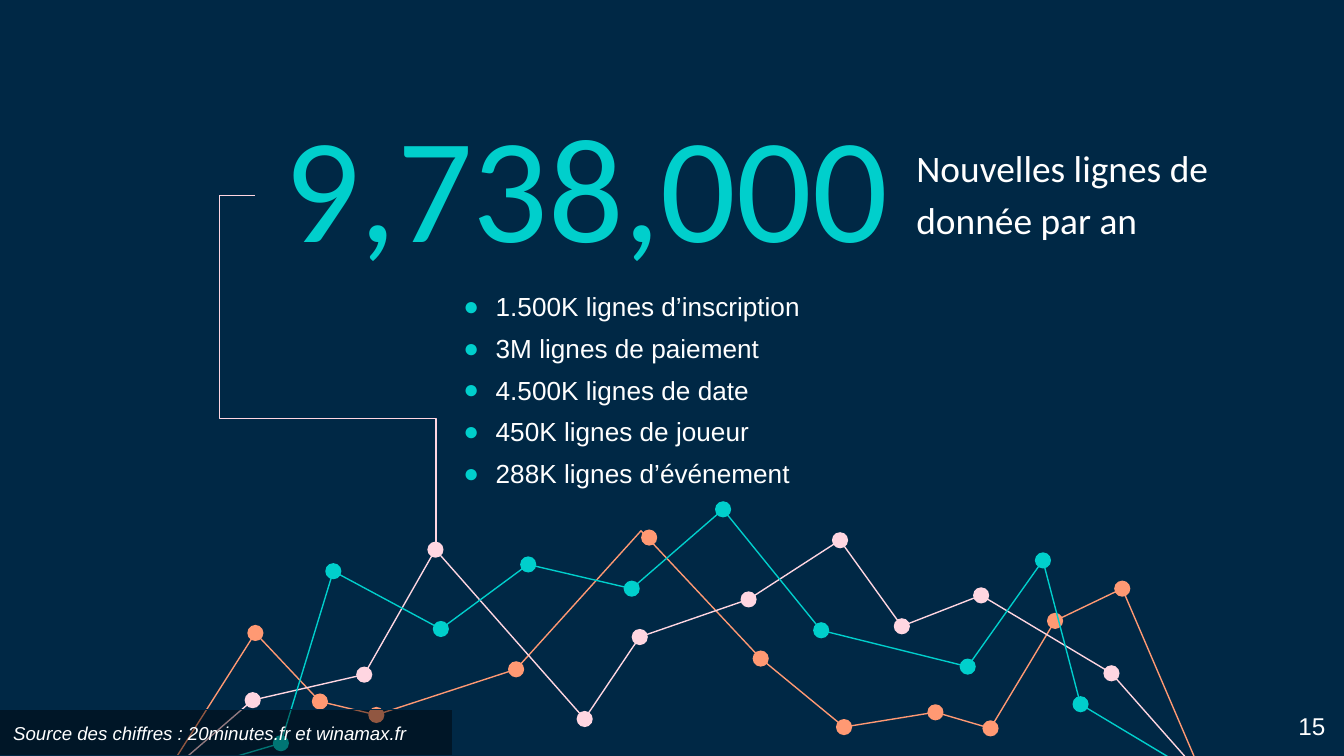
from lxml.etree import SubElement
from pptx import Presentation
from pptx.dml.color import RGBColor
from pptx.enum.shapes import MSO_CONNECTOR, MSO_SHAPE
from pptx.enum.text import MSO_ANCHOR, PP_ALIGN
from pptx.oxml.ns import qn
from pptx.util import Inches, Pt

NAVY = RGBColor(0x00, 0x28, 0x45)
TEAL = RGBColor(0x00, 0xCF, 0xCC)
ORANGE = RGBColor(0xFF, 0x99, 0x73)
PINK = RGBColor(0xFF, 0xD6, 0xE1)
WHITE = RGBColor(0xFF, 0xFF, 0xFF)
BLACK = RGBColor(0x00, 0x00, 0x00)

DOT_SIZE = 0.12
ORANGE_PEAK = (4.77, 3.95)
ORANGE_PEAK_DOT = (4.83, 4.0)
ORANGE_POINTS = [(1.22, 5.78), (1.9, 4.71), (2.38, 5.22), (2.8, 5.32), (3.84, 4.98),
                 ORANGE_PEAK, (5.66, 4.9), (6.28, 5.41), (6.96, 5.3), (7.37, 5.42),
                 (7.85, 4.62), (8.35, 4.38), (8.95, 5.78)]
PINK_POINTS = [(1.22, 5.78), (1.88, 5.21), (2.71, 5.02), (3.24, 4.09), (4.35, 5.35),
               (4.76, 4.74), (5.57, 4.46), (6.25, 4.02), (6.71, 4.66), (7.3, 4.43),
               (8.27, 5.01), (8.95, 5.78)]
TEAL_POINTS = [(1.24, 5.78), (2.09, 5.53), (2.48, 4.25), (3.28, 4.68), (3.93, 4.2),
               (4.7, 4.38), (5.38, 3.79), (6.11, 4.69), (7.2, 4.96), (7.76, 4.17),
               (8.04, 5.24), (8.94, 5.78)]

DETAILS = ["1.500K lignes d’inscription", "3M lignes de paiement", "4.500K lignes de date",
           "450K lignes de joueur", "288K lignes d’événement"]


def add_trend(page, points, color):
    corners = [(Inches(x), Inches(y)) for x, y in points]
    builder = page.shapes.build_freeform(*corners[0])
    builder.add_line_segments(corners[1:], close=False)
    trend = builder.convert_to_shape()
    trend.shadow.inherit = False
    trend.fill.background()
    trend.line.color.rgb = color
    trend.line.width = Pt(0.75)


def add_dots(page, centers, color):
    for x, y in centers:
        dot = page.shapes.add_shape(
            MSO_SHAPE.OVAL, Inches(x - DOT_SIZE / 2), Inches(y - DOT_SIZE / 2),
            Inches(DOT_SIZE), Inches(DOT_SIZE))
        dot.shadow.inherit = False
        dot.fill.solid()
        dot.fill.fore_color.rgb = color
        dot.line.fill.background()


def add_source_band(page):
    band = page.shapes.add_shape(
        MSO_SHAPE.RECTANGLE, Inches(-0.06), Inches(5.28), Inches(3.43), Inches(0.34))
    band.shadow.inherit = False
    band.fill.solid()
    band.fill.fore_color.rgb = BLACK
    color = band._element.spPr.find(qn("a:solidFill")).find(qn("a:srgbClr"))
    SubElement(color, qn("a:alpha"), val="43000")
    band.line.color.rgb = NAVY
    band.line.width = Pt(0.75)


def add_callout_line(page):
    connector = page.shapes.add_connector(
        MSO_CONNECTOR.ELBOW, Inches(3.89), Inches(2.1), Inches(1.25), Inches(3.45))
    connector.line.color.rgb = PINK
    connector.line.width = Pt(0.75)
    properties = connector._element.spPr
    SubElement(properties, qn("a:effectLst"))
    properties.find(qn("a:xfrm")).set("rot", "5400000")
    geometry = properties.find(qn("a:prstGeom"))
    geometry.set("prst", "bentConnector4")
    adjustments = geometry.find(qn("a:avLst"))
    for name, value in (("adj1", 37200), ("adj2", 119300)):
        SubElement(adjustments, qn("a:gd"), name=name, fmla=f"val {value}")


def add_bullet(para):
    properties = para._p.get_or_add_pPr()
    properties.set("marL", str(Inches(0.26)))
    properties.set("indent", str(Inches(-0.24)))
    color = SubElement(properties, qn("a:buClr"))
    SubElement(color, qn("a:srgbClr"), val=str(TEAL))
    SubElement(properties, qn("a:buFont"), typeface="Arial")
    SubElement(properties, qn("a:buChar"), char="●")


def add_text(page, place, lines, font, size, color=WHITE, align=PP_ALIGN.LEFT,
             anchor=MSO_ANCHOR.TOP, spacing=None, italic=False, bullets=False):
    box = page.shapes.add_textbox(*[Inches(value) for value in place])
    frame = box.text_frame
    frame.word_wrap = True
    frame.vertical_anchor = anchor
    frame.margin_left = frame.margin_right = Inches(0.1)
    frame.margin_top = frame.margin_bottom = Inches(0.1)
    for index, line in enumerate(lines):
        para = frame.paragraphs[0] if index == 0 else frame.add_paragraph()
        if bullets:
            add_bullet(para)
        para.alignment = align
        if spacing:
            para.line_spacing = spacing
        if index > 0:
            para.space_before = Pt(3)
        span = para.add_run()
        span.text = line
        span.font.name = font
        span.font.size = Pt(size)
        span.font.color.rgb = color
        span.font.italic = italic


def main():
    deck = Presentation()
    deck.slide_width = Inches(10)
    deck.slide_height = deck.slide_width * 9 // 16
    page = deck.slides.add_slide(deck.slide_layouts[6])
    page.background.fill.solid()
    page.background.fill.fore_color.rgb = NAVY

    orange_dots = [ORANGE_PEAK_DOT if point == ORANGE_PEAK else point
                   for point in ORANGE_POINTS[1:-1]]
    add_trend(page, ORANGE_POINTS, ORANGE)
    add_trend(page, PINK_POINTS, PINK)
    add_dots(page, orange_dots, ORANGE)
    add_dots(page, PINK_POINTS[1:-1], PINK)
    add_trend(page, TEAL_POINTS, TEAL)
    add_dots(page, TEAL_POINTS[1:-1], TEAL)
    add_source_band(page)
    add_callout_line(page)

    add_text(page, (1.9, 0.78, 4.93, 1.35), ["9,738,000"], "Calibri", 80, TEAL,
             align=PP_ALIGN.CENTER, anchor=MSO_ANCHOR.BOTTOM)
    add_text(page, (6.72, 0.93, 2.5, 1.09), ["Nouvelles lignes de donnée par an"],
             "Calibri", 20, spacing=1.15)
    add_text(page, (3.33, 2.03, 3.65, 1.67), DETAILS, "Arial", 14,
             spacing=1.15, bullets=True)
    add_text(page, (9.36, 5.19, 0.6, 0.43), ["15"], "Arial", 13, align=PP_ALIGN.RIGHT)
    add_text(page, (0, 5.29, 3.51, 0.34),
             ["Source des chiffres : 20minutes.fr et winamax.fr"], "Arial", 10, italic=True)

    deck.save("out.pptx")


if __name__ == "__main__":
    main()
